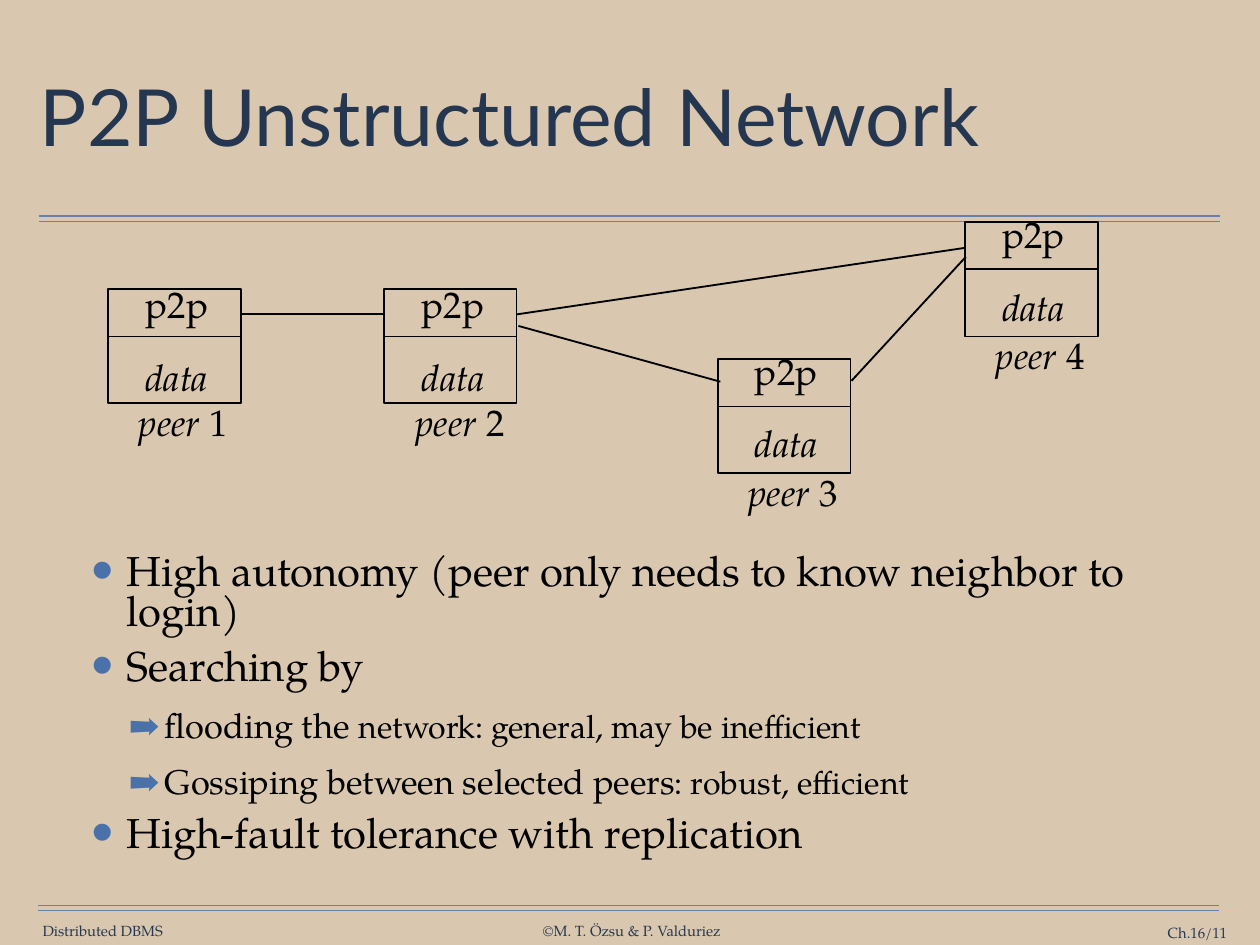
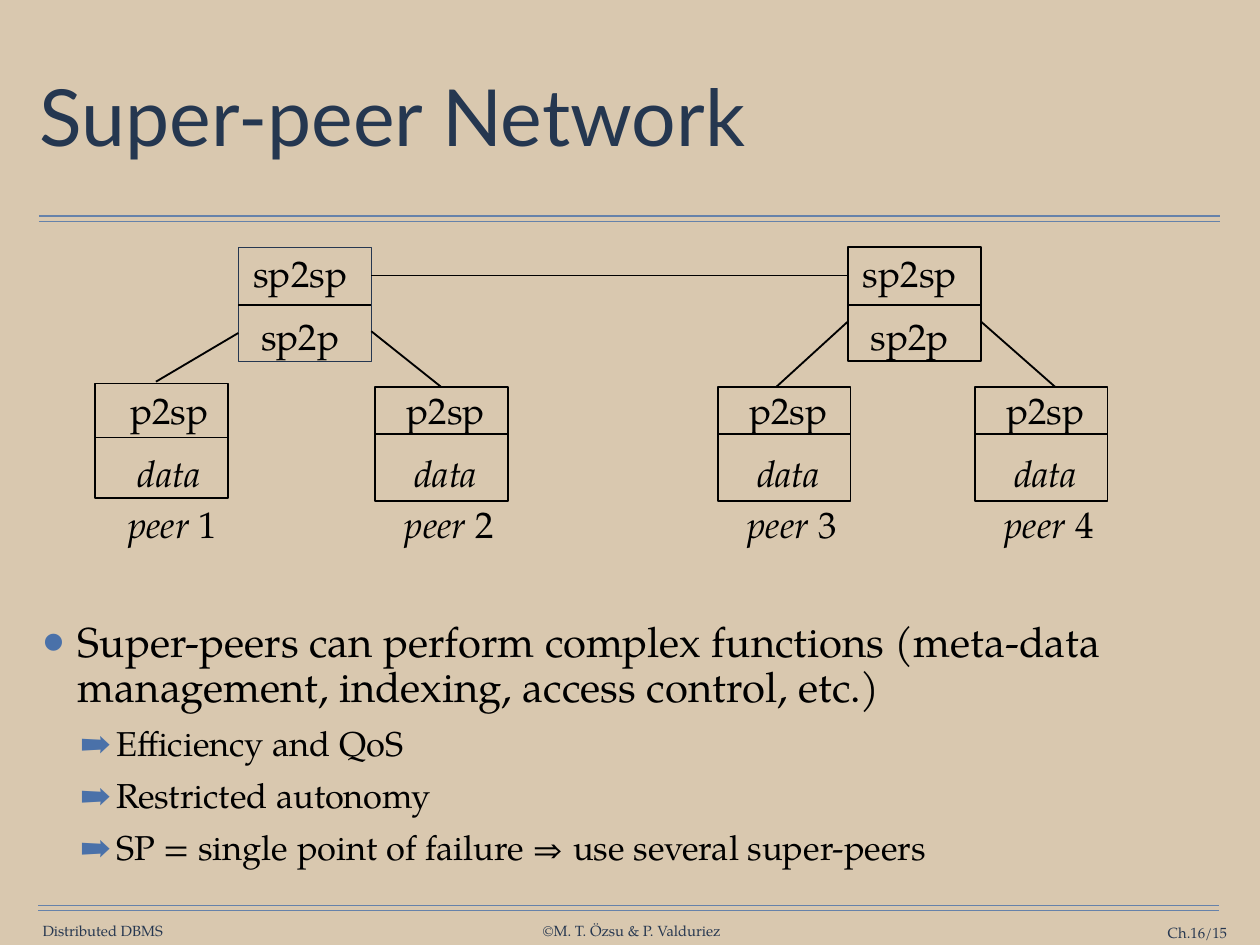
from lxml import etree
from pptx import Presentation
from pptx import util as u
from pptx.dml.color import RGBColor
from pptx.enum import shapes, text
from pptx.oxml import ns

PX = 9144  # 100 px to the inch
INK, NAVY, TITLE, RULE, BULLET = "000000", "263750", "253750", "6682AA", "4A71A9"
SERIF, SANS = "TeX Gyre Pagella", "Lato"
BOX_W, BOX_H = 150, 129
rgb = RGBColor.from_string


def add_line(s, x1, y1, x2, y2, color=INK, width=1.5):
    ln = s.shapes.add_connector(shapes.MSO_CONNECTOR.STRAIGHT, x1 * PX, y1 * PX, x2 * PX, y2 * PX)
    ln.line.color.rgb = rgb(color)
    ln.line.width = u.Pt(width)
    etree.SubElement(ln.element.spPr, ns.qn("a:effectLst"))
    return ln


def add_text(s, x, y, w, h, lines, size, color, align, margins=(0, 0), spacing=1.0, wrap=False):
    """Each line is a list of (words, italic) runs."""
    tf = s.shapes.add_textbox(x * PX, y * PX, w * PX, h * PX).text_frame
    tf.margin_left = tf.margin_right = margins[0] * PX
    tf.margin_top = tf.margin_bottom = margins[1] * PX
    tf.word_wrap = wrap
    tf.auto_size = text.MSO_AUTO_SIZE.SHAPE_TO_FIT_TEXT
    for i, runs in enumerate(lines):
        p = tf.add_paragraph() if i else tf.paragraphs[0]
        p.alignment = align
        p.line_spacing = spacing
        p.space_before = u.Pt(round(37 * spacing) if i else 0)
        for words, italic in runs:
            r = p.add_run()
            r.text = words
            r.font.name, r.font.size, r.font.italic = SERIF, u.Pt(size), italic
            r.font.color.rgb = rgb(color)
    return tf


# Node: box x, box y, divider y, text x, text y, label y, two words, label number
# Link: x1, y1, x2, y2, index of the node whose top middle it joins
SLIDES = [
    dict(
        title="P2P Unstructured Network", page="Ch.16/11",
        nodes=[
            (122, 326, 380, 144, 321, 444, "p2p", "data", "1"),
            (433, 326, 380, 456, 321, 444, "p2p", "data", "2"),
            (810, 405, 459, 832, 396, 523, "p2p", "data", "3"),
            (1089, 251, 304, 1111, 242, 369, "p2p", "data", "4"),
        ],
        links=[
            (273, 355, 434, 355, None), (585, 368, 813, 431, None),
            (961, 430, 1090, 290, None), (583, 355, 1088, 280, None),
        ],
        thin_node=None, node_spacing=0.8, text_h=137,
        body_at=(97, 620, 1270, 346), body_spacing=(0.8, 1.0),
        body=[
            (0, [("High autonomy (peer only needs to know neighbor to login)", 34)]),
            (0, [("Searching by", 34)]),
            (1, [("flooding the ", 28), ("network: general, may be inefficient", 26)]),
            (1, [("Gossiping between selected peers", 28), (": robust, efficient", 26)]),
            (0, [("High-fault tolerance with replication", 34)]),
        ],
    ),
    dict(
        title="Super-peer Network", page="Ch.16/15",
        nodes=[
            (107, 433, 494, 132, 444, 559, "p2sp", "data", "1"),
            (423, 437, 490, 444, 444, 559, "p2sp", "data", "2"),
            (810, 437, 490, 831, 444, 559, "p2sp", "data", "3"),
            (1100, 437, 490, 1121, 444, 559, "p2sp", "data", "4"),
            (269, 279, 344, 271, 290, None, "sp2sp", "sp2p", None),
            (957, 279, 344, 959, 290, None, "sp2sp", "sp2p", None),
        ],
        links=[
            (269, 376, 176, 431, None), (419, 374, 498, 437, 1),
            (957, 363, 876, 437, None), (1107, 363, 1191, 437, None),
            (419, 311, 957, 311, None),
        ],
        thin_node=4, node_spacing=0.7, text_h=123,
        body_at=(42, 696, 1250, 302), body_spacing=(0.9, 0.9),
        body=[
            (0, [("Super-peers can perform complex functions (meta-data management, "
                  "indexing, access control, etc.)", 34)]),
            (1, [("Efficiency and QoS", 28)]),
            (1, [("Restricted autonomy", 28)]),
            (1, [("SP = single point of failure ⇒ use several super-peers", 28)]),
        ],
    ),
]
BULLETS = [("•", 150, 40), ("➡", 85, 83)]  # character, size in percent, indent
TEXT_W = {"p2p": 111, "p2sp": 118, "sp2sp": 136}
CENTER, RIGHT = text.PP_ALIGN.CENTER, text.PP_ALIGN.RIGHT

prs = Presentation()
prs.slide_width, prs.slide_height = 1422 * PX, 1067 * PX
fill = prs.slide_master.background.fill
fill.solid()
fill.fore_color.rgb = rgb("D9C8AF")

# Title position, shared through the layout
layout = prs.slide_layouts[1]
sp = layout.placeholders[0]
sp.left, sp.top, sp.width, sp.height = 39 * PX, 49 * PX, 1344 * PX, 176 * PX

for data in SLIDES:
    s = prs.slides.add_slide(layout)

    # Double rules and footer
    for x, y in ((44, 244), (44, 250), (43, 1022), (43, 1028)):
        add_line(s, x, y, x + 1333, y, RULE, 1)
    for x, y, w, words, align, wrap in (
        (47, 1041, 138, "Distributed DBMS", CENTER, False),
        (611, 1041, 204, "©M. T. Özsu & P. Valduriez", CENTER, False),
        (1231, 1043, 154, data["page"], RIGHT, True),
    ):
        tf = add_text(s, x, y, w, 20, [[(words, False)]], 12, NAVY, align, wrap=wrap)
        tf.vertical_anchor = text.MSO_ANCHOR.MIDDLE

    # Title
    tf = s.shapes.title.text_frame
    tf.text = data["title"]
    tf.vertical_anchor = text.MSO_ANCHOR.MIDDLE
    p = tf.paragraphs[0]
    p.alignment = text.PP_ALIGN.LEFT
    p.line_spacing = 0.9
    f = p.runs[0].font
    f.name, f.size, f.color.rgb = SANS, u.Pt(64), rgb(TITLE)

    # Bulleted body
    body = s.placeholders[1]
    body.left, body.top, body.width, body.height = [n * PX for n in data["body_at"]]
    for i, (level, runs) in enumerate(data["body"]):
        p = body.text_frame.add_paragraph() if i else body.text_frame.paragraphs[0]
        p.level = level
        char, percent, indent = BULLETS[level]
        pPr = p._p.get_or_add_pPr()
        pPr.set("marL", str(indent * PX))
        pPr.set("indent", str(-40 * PX))
        color = etree.SubElement(pPr, ns.qn("a:buClr"))
        etree.SubElement(color, ns.qn("a:srgbClr"), val=BULLET)
        etree.SubElement(pPr, ns.qn("a:buSzPct"), val=str(percent * 1000))
        etree.SubElement(pPr, ns.qn("a:buChar"), char=char)
        p.line_spacing = data["body_spacing"][level]
        p.space_before = u.Pt(12 if i else 0)
        for words, size in runs:
            r = p.add_run()
            r.text = words
            r.font.name, r.font.size, r.font.color.rgb = SERIF, u.Pt(size), rgb(INK)

    for tf in (s.shapes.title.text_frame, body.text_frame):
        tf.auto_size = text.MSO_AUTO_SIZE.NONE
        tf.margin_left = tf.margin_right = tf.margin_top = tf.margin_bottom = 6 * PX

    # Peers and super-peers
    boxes = []
    for i, (x, y, divider_y, text_x, text_y, label_y, upper, lower, number) in enumerate(data["nodes"]):
        box = s.shapes.add_shape(shapes.MSO_SHAPE.RECTANGLE, x * PX, y * PX, BOX_W * PX, BOX_H * PX)
        thin = i == data["thin_node"]
        box.shadow.inherit = False
        box.fill.background()
        box.line.color.rgb = rgb(NAVY if thin else INK)
        box.line.width = u.Pt(0.75 if thin else 1.5)
        boxes.append(box)
        add_line(s, x, divider_y, x + BOX_W, divider_y)
        add_text(s, text_x, text_y, TEXT_W[upper], data["text_h"],
                 [[(upper, False)], [(lower, lower == "data")]],
                 30, INK, CENTER, (14, 7), data["node_spacing"])
        if number:
            add_text(s, text_x - 3, label_y, 132, 65, [[("peer ", True), (number, False)]],
                     30, INK, CENTER, (14, 7))

    # Links between nodes
    for x1, y1, x2, y2, target in data["links"]:
        ln = add_line(s, x1, y1, x2, y2)
        if target is not None:
            ln.end_connect(boxes[target], 0)

prs.save("out.pptx")
